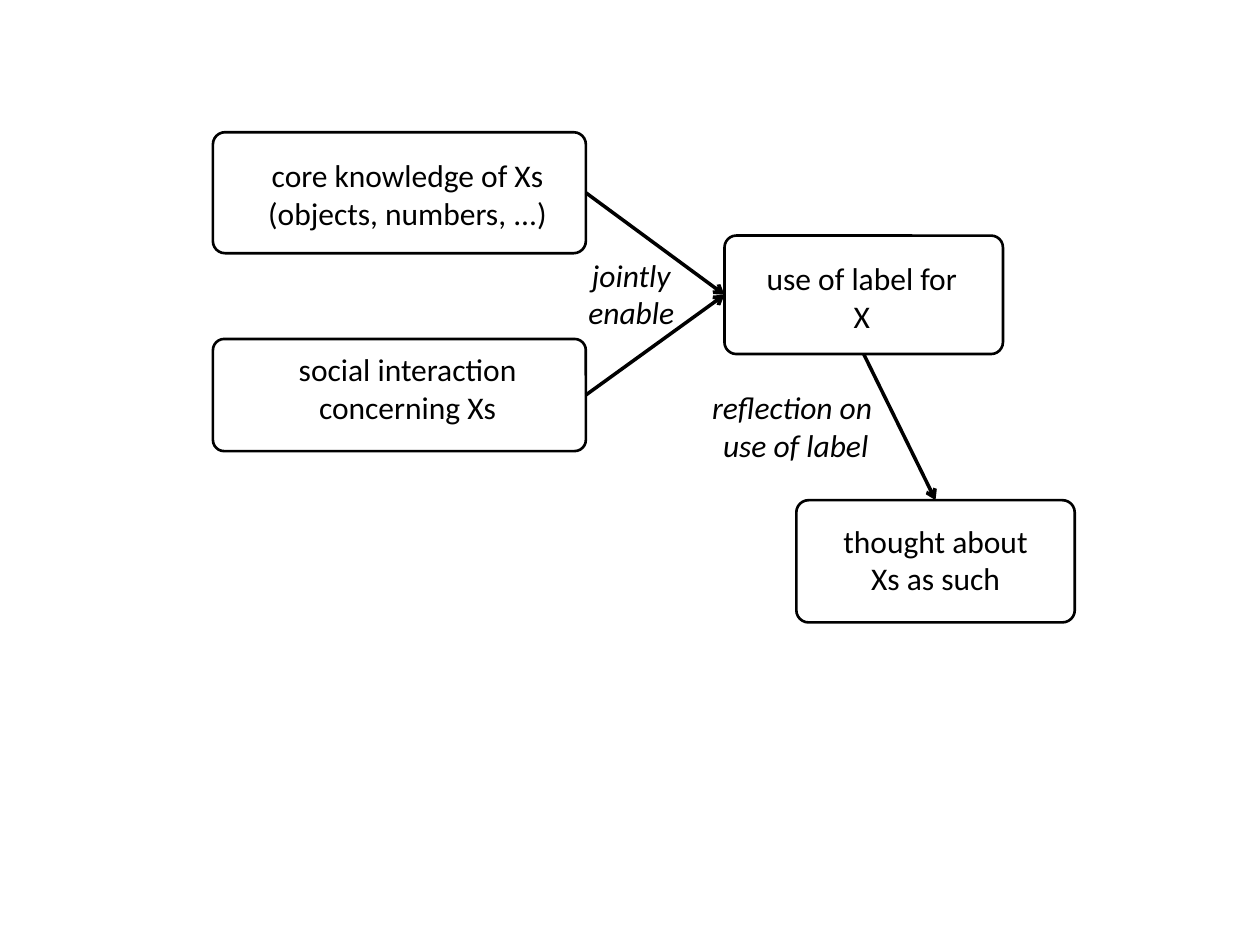
from lxml.etree import SubElement
from pptx import Presentation
from pptx.dml.color import RGBColor
from pptx.enum.shapes import MSO_CONNECTOR, MSO_SHAPE
from pptx.enum.text import MSO_AUTO_SIZE, PP_ALIGN
from pptx.oxml.ns import qn
from pptx.util import Inches, Pt

COLOURS = {"ink": "000000"}
FONT = "Calibri"
TOP, LEFT, BOTTOM, RIGHT = range(4)

# name: left, top, width, height
BOXES = {
    "core": (1.69, 1.05, 2.96, 0.96),
    "social": (1.69, 2.69, 2.96, 0.89),
    "label": (5.75, 1.87, 2.21, 0.94),
    "thought": (6.32, 3.97, 2.21, 0.97),
}
# from box, side, to box, side
ARROWS = [
    ("social", RIGHT, "label", LEFT),
    ("core", RIGHT, "label", LEFT),
    ("label", BOTTOM, "thought", TOP),
]
# text, left, top, width, italic, wrap; the italic captions stand clear of the arrows
TEXTS = [
    ("use of label for X", 5.9, 2.01, 1.88, False, True),
    ("core knowledge of Xs (objects, numbers, ...)", 1.83, 1.19, 2.81, False, True),
    ("social interaction concerning Xs", 1.83, 2.73, 2.81, False, True),
    ("jointly enable", 4.3, 1.98, 1.42, True, True),
    ("reflection on \vuse of label", 5.54, 3.03, 1.55, True, False),
    ("thought about Xs as such", 6.5, 4.09, 1.85, False, True),
]
TEXT_HEIGHT = 0.71


def set_line(shape, width):
    shape.line.color.rgb = RGBColor.from_string(COLOURS["ink"])
    shape.line.width = Pt(width)


def add_box(page, place):
    box = page.shapes.add_shape(MSO_SHAPE.ROUNDED_RECTANGLE, *map(Inches, place))
    box.adjustments[0] = 0.1
    box.shadow.inherit = False
    box.fill.background()
    set_line(box, 1.5)
    return box


def add_arrow(page, start, start_side, end, end_side):
    arrow = page.shapes.add_connector(MSO_CONNECTOR.STRAIGHT, 0, 0, 0, 0)
    arrow.begin_connect(start, start_side)
    arrow.end_connect(end, end_side)
    set_line(arrow, 2)
    SubElement(arrow.line._get_or_add_ln(), qn("a:tailEnd"), type="arrow")
    SubElement(arrow._element.spPr, qn("a:effectLst"))


def add_text(page, text, left, top, width, italic, wrap):
    box = page.shapes.add_textbox(*map(Inches, (left, top, width, TEXT_HEIGHT)))
    frame = box.text_frame
    frame.word_wrap = wrap
    frame.auto_size = MSO_AUTO_SIZE.SHAPE_TO_FIT_TEXT
    para = frame.paragraphs[0]
    para.text = text
    para.alignment = PP_ALIGN.CENTER
    para.font.name = FONT
    para.font.size = Pt(18)
    para.font.italic = italic
    para.font.color.rgb = RGBColor.from_string(COLOURS["ink"])


def main():
    deck = Presentation()
    deck.slide_width, deck.slide_height = Inches(10), Inches(7.5)
    page = deck.slides.add_slide(deck.slide_layouts[6])
    boxes = {name: add_box(page, place) for name, place in BOXES.items()}
    for start, start_side, end, end_side in ARROWS:
        add_arrow(page, boxes[start], start_side, boxes[end], end_side)
    for entry in TEXTS:
        add_text(page, *entry)
    deck.save("out.pptx")


if __name__ == "__main__":
    main()
